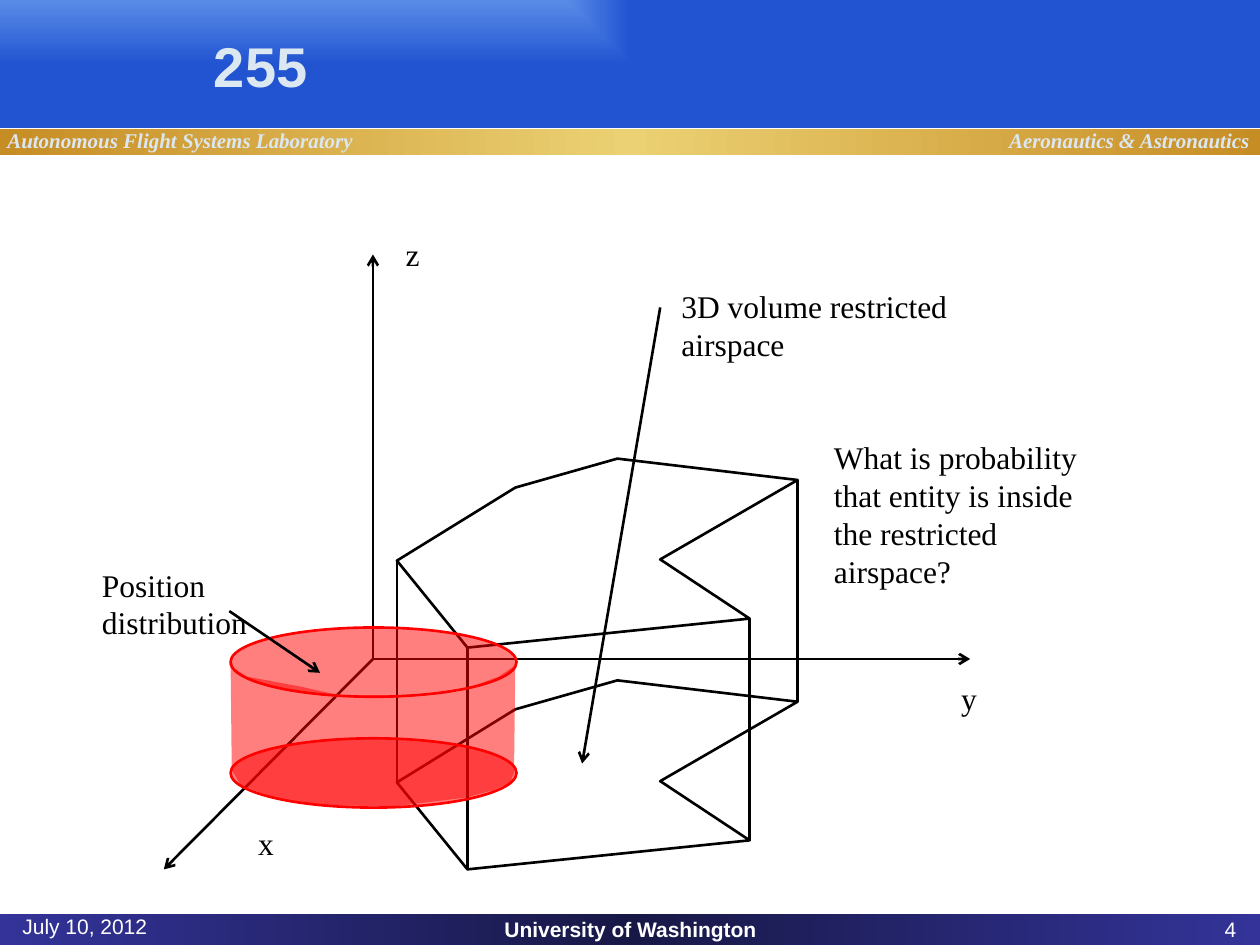
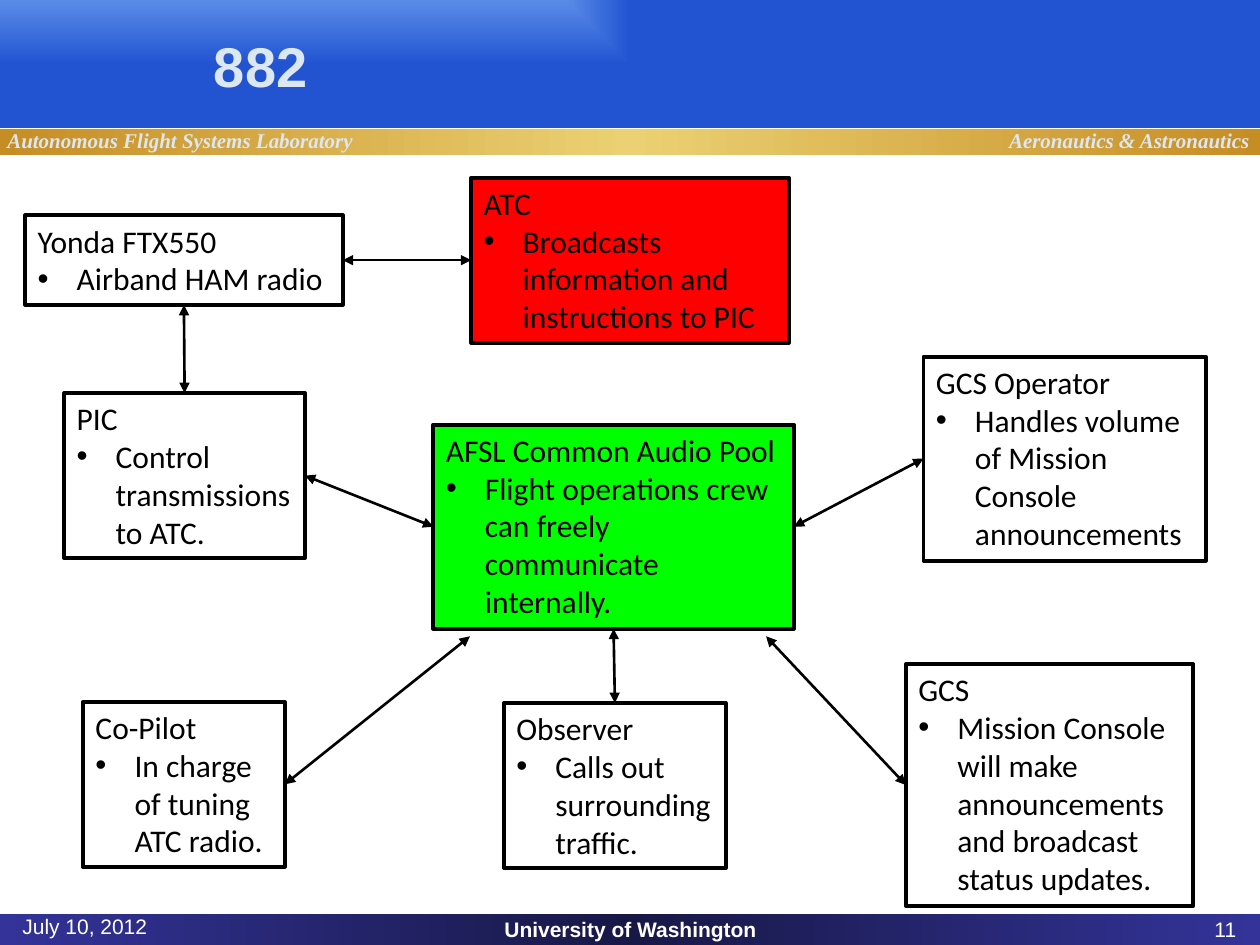
from dataclasses import dataclass

import lxml.etree
import pptx
import pptx.dml.color
import pptx.enum.shapes
import pptx.enum.text
import pptx.oxml.ns
import pptx.util

Inches = pptx.util.Inches
Pt = pptx.util.Pt
qn = pptx.oxml.ns.qn
Shape = pptx.enum.shapes.MSO_SHAPE
Align = pptx.enum.text.PP_ALIGN
Anchor = pptx.enum.text.MSO_ANCHOR
TOP, LEFT, BOTTOM, RIGHT = range(4)  # connection sites of a rectangle


@dataclass(frozen=True)
class Theme:
    ink: str = "000000"
    paper: str = "FFFFFF"
    heading: str = "DBE7F1"
    alert: str = "FF0000"
    pool: str = "00FF00"
    header: tuple = ((0, "598CE7"), (100, "2254D2"))
    gold: tuple = ((0, "C78D25"), (50, "EBD173"), (100, "C78D25"))
    navy: tuple = ((0, "333399"), (50, "181847"), (100, "333399"))
    sans: str = "Arial"
    serif: str = "Times New Roman"
    box_font: str = "Calibri"
    title_size: int = 32
    body_size: int = 18
    small_size: int = 12
    line: float = 1.5
    border: float = 2.25
    bullet_indent: float = 0.31


def rgb(code):
    return pptx.dml.color.RGBColor.from_string(code)


def child(parent, tag, **attributes):
    return lxml.etree.SubElement(parent, qn(tag), attributes)


class Deck:
    def __init__(self, theme):
        self.theme = theme
        self.prs = pptx.Presentation()
        self.prs.slide_width, self.prs.slide_height = Inches(10), Inches(7.5)
        self.slide = None

    def new_slide(self, title, number):
        """Start a slide with the shared bands, header and footer."""
        t = self.theme
        self.slide = self.prs.slides.add_slide(self.prs.slide_layouts[6])
        # Bands
        self.gradient(self.shape((0, 7.25, 10, 0.25)), t.navy)
        self.shape((0, 1.23, 10, 6.02), fill=t.paper)
        self.gradient(self.shape((0, 0, 10, 1.02)), t.header, from_corner=True)
        self.gradient(self.shape((0, 1.02, 10, 0.21)), t.gold)
        # Header labels
        for label, left, width in (("Aeronautics & Astronautics", 7.91, 2.39),
                                   ("Autonomous Flight Systems Laboratory", -0.04, 3.74)):
            self.text(label, (left, 0.96, width, 0.3), size=t.small_size,
                      color=t.heading, bold=True, italic=True)
        # Footer
        footer = dict(font=t.sans, size=t.small_size, color=t.paper)
        self.text("University of Washington", (2.67, 7.25, 4.67, 0.25), bold=True,
                  align=Align.CENTER, anchor=Anchor.MIDDLE, **footer)
        self.text(str(number), (7.58, 7.25, 2.33, 0.25), align=Align.RIGHT,
                  anchor=Anchor.MIDDLE, **footer)
        self.text("July 10, 2012", (0.08, 7.25, 2.33, 0.25), anchor=Anchor.BOTTOM, **footer)
        # Title
        self.text(title, (1.6, 0.1, 8.4, 0.83), font=t.sans, size=t.title_size,
                  color=t.heading, bold=True, anchor=Anchor.MIDDLE)

    def paint(self, shape, fill=None, line=None, width=None, alpha=None):
        shape.shadow.inherit = False
        if fill:
            shape.fill.solid()
            shape.fill.fore_color.rgb = rgb(fill)
            if alpha:
                color = shape._element.spPr.find(qn("a:solidFill"))[0]
                child(color, "a:alpha", val=str(alpha * 1000))
        else:
            shape.fill.background()
        if line:
            shape.line.color.rgb = rgb(line)
            shape.line.width = Pt(width or self.theme.line)
        else:
            shape.line.fill.background()
        return shape

    def shape(self, place, kind=Shape.RECTANGLE, **look):
        shape = self.slide.shapes.add_shape(kind, *map(Inches, place))
        return self.paint(shape, **look)

    def gradient(self, shape, stops, from_corner=False):
        shape.fill.gradient()
        grad = shape._element.spPr.find(qn("a:gradFill"))
        for part in list(grad):
            grad.remove(part)
        stop_list = child(grad, "a:gsLst")
        for position, color in stops:
            stop = child(stop_list, "a:gs", pos=str(position * 1000))
            child(stop, "a:srgbClr", val=color)
        if from_corner:
            spread = child(grad, "a:path", path="rect")
            child(spread, "a:fillToRect", r="100000", b="100000")
        else:
            child(grad, "a:lin", ang="0", scaled="1")

    def outline(self, points, **look):
        """Closed polygon through points given in inches."""
        start, *rest = [(Inches(x), Inches(y)) for x, y in points]
        builder = self.slide.shapes.build_freeform(*start)
        builder.add_line_segments(rest, close=True)
        return self.paint(builder.convert_to_shape(), **look)

    def style(self, paragraph, font, size, color, bold=False, italic=False, align=Align.LEFT):
        paragraph.alignment = align
        paragraph.font.name, paragraph.font.size = font, Pt(size)
        paragraph.font.bold, paragraph.font.italic = bold, italic
        paragraph.font.color.rgb = rgb(color)

    def text(self, words, place, font=None, size=None, color=None, anchor=Anchor.TOP, **look):
        frame = self.slide.shapes.add_textbox(*map(Inches, place)).text_frame
        frame.word_wrap = True
        frame.vertical_anchor = anchor
        frame.text = words
        t = self.theme
        self.style(frame.paragraphs[0], font or t.serif, size or t.body_size,
                   color or t.ink, **look)

    def role_box(self, role, duty, place, fill=None):
        """Bordered box with a heading and one bulleted duty."""
        t = self.theme
        box = self.shape(place, fill=fill, line=t.ink, width=t.border)
        frame = box.text_frame
        frame.word_wrap = True
        frame.vertical_anchor = Anchor.TOP
        frame.text = f"{role}\n{duty}"
        for paragraph in frame.paragraphs:
            self.style(paragraph, t.box_font, t.body_size, t.ink)
        props = frame.paragraphs[1]._p.get_or_add_pPr()
        indent = Inches(t.bullet_indent)
        props.set("marL", str(indent))
        props.set("indent", str(-indent))
        bullet_font = lxml.etree.Element(qn("a:buFont"), typeface=t.sans)
        bullet = lxml.etree.Element(qn("a:buChar"), char="•")
        props.insert(0, bullet_font)
        props.insert(1, bullet)
        # pPr children must end with the default run properties
        return box

    def line(self, start, end, head=None, tail=None):
        """Straight line; an end is a point or a (box, site) pair."""
        link = self.slide.shapes.add_connector(
            pptx.enum.shapes.MSO_CONNECTOR.STRAIGHT, 0, 0, 0, 0)
        if isinstance(start[0], (int, float)):
            link.begin_x, link.begin_y = map(Inches, start)
        else:
            link.begin_connect(*start)
        if isinstance(end[0], (int, float)):
            link.end_x, link.end_y = map(Inches, end)
        else:
            link.end_connect(*end)
        link.line.color.rgb = rgb(self.theme.ink)
        link.line.width = Pt(self.theme.line)
        props = link._element.spPr
        for tag, arrow in (("a:headEnd", head), ("a:tailEnd", tail)):
            if arrow:
                child(props.find(qn("a:ln")), tag, type=arrow)
        child(props, "a:effectLst")


def airspace_slide(deck):
    t = deck.theme
    deck.new_slide("255", 4)

    # Axes
    origin = (2.96, 5.23)
    for axis, tip, label_at in (("y", (7.7, 5.23), (7.53, 5.34)),
                                ("x", (1.3, 6.9), (1.95, 6.49)),
                                ("z", (2.96, 2.02), (3.12, 1.82))):
        deck.line(origin, tip, tail="arrow")
        deck.text(axis, (*label_at, 0.58, 0.4))

    # Restricted airspace: floor, ceiling and the visible vertical edges
    height = 1.76
    floor = [(4.09, 5.63), (3.15, 6.21), (3.71, 6.9), (5.95, 6.67),
             (5.24, 6.2), (6.33, 5.57), (4.9, 5.4)]
    ceiling = [(x, y - height) for x, y in floor]
    deck.outline(floor, line=t.ink)
    deck.outline(ceiling, line=t.ink)
    for corner in (1, 2, 3, 5):
        deck.line(floor[corner], ceiling[corner])
    deck.text("3D volume restricted airspace", (5.31, 2.23, 2.74, 0.71))
    deck.line((5.24, 2.44), (4.62, 6.06), tail="arrow")

    # Position distribution: a translucent cylinder
    for top in (5.86, 4.98):
        deck.shape((1.83, top, 2.27, 0.55), Shape.OVAL, fill=t.alert, alpha=50, line=t.alert)
    wall = [(1.83, 5.22), (1.84, 6.11), (1.91, 6.23), (2.17, 6.33), (2.56, 6.39),
            (3.13, 6.4), (3.7, 6.33), (3.92, 6.27), (4.05, 6.21), (4.08, 6.13),
            (4.09, 5.28), (3.96, 5.37), (3.63, 5.49), (3.17, 5.52), (2.7, 5.52),
            (2.39, 5.45), (1.96, 5.37), (1.82, 5.28)]
    deck.outline(wall, fill=t.alert, alpha=50)
    deck.text("Position distribution", (0.71, 4.44, 2.22, 0.4))
    deck.text("What is probability that entity is inside the restricted airspace?",
              (6.52, 3.43, 2.22, 1.31))
    deck.line((1.82, 4.85), (2.54, 5.34), tail="arrow")


def audio_slide(deck):
    t = deck.theme
    deck.new_slide("882", 11)

    # Roles
    pic = deck.role_box("PIC", "Control transmissions to ATC.", (0.51, 3.12, 1.91, 1.31))
    copilot = deck.role_box("Co-Pilot", "In charge of tuning ATC radio.",
                            (0.66, 5.57, 1.6, 1.31))
    atc = deck.role_box("ATC", "Broadcasts information and instructions to PIC",
                        (3.74, 1.41, 2.52, 1.31), fill=t.alert)
    radio = deck.role_box("Yonda FTX550", "Airband HAM radio", (0.2, 1.71, 2.52, 0.71))
    observer = deck.role_box("Observer", "Calls out surrounding traffic.",
                             (4, 5.58, 1.76, 1.31))
    operator = deck.role_box("GCS Operator", "Handles volume of Mission Console announcements",
                             (7.33, 2.83, 2.24, 1.62))
    gcs = deck.role_box(
        "GCS", "Mission Console will make announcements and broadcast status updates.",
        (7.19, 5.27, 2.28, 1.92))
    pool = deck.role_box("AFSL Common Audio Pool",
                         "Flight operations crew can freely communicate internally.",
                         (3.44, 3.37, 2.86, 1.62), fill=t.pool)

    # Two-way links
    for start, end in (((atc, LEFT), (radio, RIGHT)),
                       ((pic, TOP), (radio, BOTTOM)),
                       ((pic, RIGHT), (pool, LEFT)),
                       ((copilot, RIGHT), (3.73, 5.05)),
                       ((observer, TOP), (pool, BOTTOM)),
                       ((gcs, LEFT), (6.08, 5.05)),
                       ((operator, LEFT), (pool, RIGHT))):
        deck.line(start, end, head="triangle", tail="triangle")


def main():
    deck = Deck(Theme())
    airspace_slide(deck)
    audio_slide(deck)
    deck.prs.save("out.pptx")


if __name__ == "__main__":
    main()
